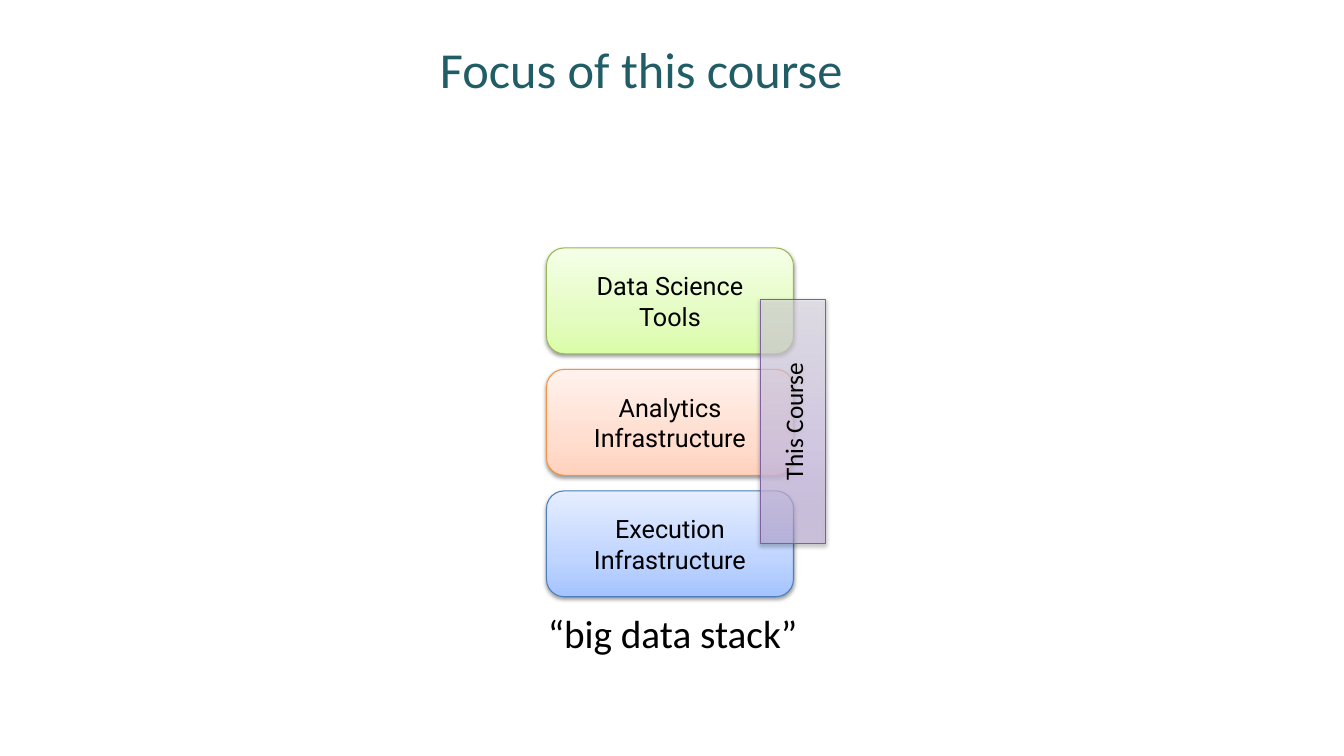
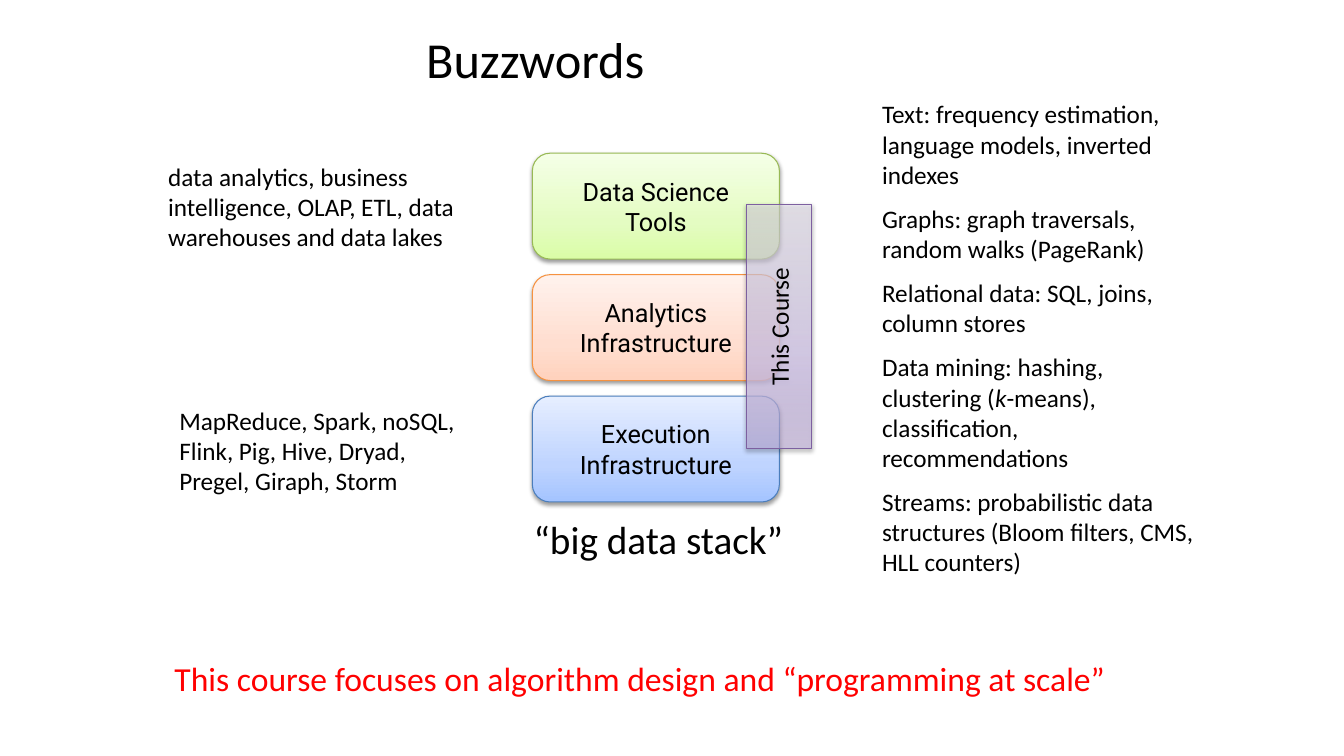
import pptx
import pptx.dml.color
import pptx.enum.shapes
import pptx.enum.text
import pptx.oxml.ns
import pptx.util
from lxml import etree

Inches = pptx.util.Inches
Pt = pptx.util.Pt
qn = pptx.oxml.ns.qn
ALIGN = pptx.enum.text.PP_ALIGN
ANCHOR = pptx.enum.text.MSO_ANCHOR
SHAPE = pptx.enum.shapes.MSO_SHAPE

COLORS = {
    "text": "000000",
    "title": "215D66",
    "accent": "FF0000",
    "shadow": "000000",
    "green line": "98B955",
    "orange line": "F69240",
    "blue line": "4B7EBC",
    "purple line": "7D60A0",
}
# Gradient stops run from bottom to top: position, colour, opacity (percent)
GRADIENTS = {
    "green": [(0, "DAFDA7", 100), (35, "E4FCC2", 100), (100, "F5FFE7", 100)],
    "orange": [(0, "FFD2BD", 100), (35, "FFDED0", 100), (100, "FFF2ED", 100)],
    "blue": [(0, "A4C4FF", 100), (35, "BFD4FF", 100), (100, "E6EEFF", 100)],
    "purple": [(0, "C9B5E8", 50), (35, "D8CBEE", 80), (100, "F0EAF9", 50)],
}
BODY_FONT = "Calibri"
TIER_FONT = "Roboto"

# The stack, from top to bottom
TIERS = [
    ("Data Science\nTools", "green"),
    ("Analytics Infrastructure", "orange"),
    ("Execution\vInfrastructure", "blue"),
]
TIER_WIDTH, TIER_HEIGHT = 2.45, 1.05
STACK_HEIGHT = 3.46
BANNER_WIDTH, BANNER_HEIGHT = 10, 0.75

# Words between asterisks are italic
TOPICS = [
    "Text: frequency estimation, language models, inverted indexes",
    "Graphs: graph traversals, random walks (PageRank)",
    "Relational data: SQL, joins, column stores",
    "Data mining: hashing, clustering (*k*-means), classification, recommendations",
    "Streams: probabilistic data structures (Bloom filters, CMS, HLL counters)",
]


def rgb(name):
    return pptx.dml.color.RGBColor.from_string(COLORS[name])


def format_text(frame, size, color="text", font=BODY_FONT, align=ALIGN.LEFT):
    for para in frame.paragraphs:
        para.alignment = align
        for span in para.runs:
            span.font.size = Pt(size)
            span.font.name = font
            span.font.color.rgb = rgb(color)


def add_color(parent, value, opacity):
    color = etree.SubElement(parent, qn("a:srgbClr"), val=value)
    if opacity < 100:
        etree.SubElement(color, qn("a:alpha"), val=str(opacity * 1000))


def set_gradient(shape, stops):
    shape.fill.gradient()
    gradient = shape._element.spPr.find(qn("a:gradFill"))
    for child in list(gradient):
        gradient.remove(child)
    stop_list = etree.SubElement(gradient, qn("a:gsLst"))
    for position, value, opacity in stops:
        stop = etree.SubElement(stop_list, qn("a:gs"), pos=str(position * 1000))
        add_color(stop, value, opacity)
    etree.SubElement(gradient, qn("a:lin"), ang=str(270 * 60000), scaled="0")


def set_shadow(shape):
    shape.shadow.inherit = False
    effects = shape._element.spPr.find(qn("a:effectLst"))
    shadow = etree.SubElement(
        effects, qn("a:outerShdw"), blurRad=str(Pt(3.1)), dist=str(Pt(1.6)),
        dir=str(90 * 60000), rotWithShape="0")
    add_color(shadow, COLORS["shadow"], 38)


def add_title(page, text, left, top, color):
    title = page.shapes.title
    title.left, title.top = Inches(left), Inches(top)
    title.width, title.height = Inches(BANNER_WIDTH), Inches(BANNER_HEIGHT)
    frame = title.text_frame
    frame.text = text
    frame.auto_size = pptx.enum.text.MSO_AUTO_SIZE.NONE
    frame.vertical_anchor = ANCHOR.TOP
    format_text(frame, 36, color, align=ALIGN.CENTER)


def add_text(page, paragraphs, left, top, width, height, size=18,
             color="text", align=ALIGN.LEFT, gap=0):
    box = page.shapes.add_textbox(
        Inches(left), Inches(top), Inches(width), Inches(height))
    frame = box.text_frame
    frame.word_wrap = True
    for index, text in enumerate(paragraphs):
        para = frame.add_paragraph() if index else frame.paragraphs[0]
        if index and gap:
            para.space_before = Pt(gap)
        for number, piece in enumerate(text.split("*")):
            span = para.add_run()
            span.text = piece
            if number % 2:
                span.font.italic = True
    format_text(frame, size, color, align=align)


def add_block(page, kind, text, hue, left, top, width, height, font):
    block = page.shapes.add_shape(
        kind, Inches(left), Inches(top), Inches(width), Inches(height))
    set_gradient(block, GRADIENTS[hue])
    block.line.color.rgb = rgb(hue + " line")
    block.line.width = Pt(0.75)
    set_shadow(block)
    frame = block.text_frame
    frame.text = text
    frame.word_wrap = True
    frame.vertical_anchor = ANCHOR.MIDDLE
    format_text(frame, 18, font=font, align=ALIGN.CENTER)
    return block


def add_stack(page, left, top):
    # Tiers
    pitch = (STACK_HEIGHT - TIER_HEIGHT) / (len(TIERS) - 1)
    for row, (text, hue) in enumerate(TIERS):
        add_block(page, SHAPE.ROUNDED_RECTANGLE, text, hue, left,
                  top + row * pitch, TIER_WIDTH, TIER_HEIGHT, TIER_FONT)
    # Upright bar over the right edge
    bar = add_block(page, SHAPE.RECTANGLE, "This Course", "purple",
                    left + 2.12, top + 0.51, 0.65, 2.42, BODY_FONT)
    bar.text_frame._txBody.bodyPr.set("vert", "vert270")
    # Caption
    add_text(page, ["“big data stack”"], left - 3.75, top + 3.54,
             BANNER_WIDTH, BANNER_HEIGHT, size=28, align=ALIGN.CENTER)


def add_page(deck):
    return deck.slides.add_slide(deck.slide_layouts.get_by_name("Title Only"))


def build_focus(deck):
    page = add_page(deck)
    add_title(page, "Focus of this course", 1.36, 0.33, "title")
    add_stack(page, 5.42, 2.46)


def build_buzzwords(deck):
    page = add_page(deck)
    add_title(page, "Buzzwords", 0.31, 0.23, "text")
    add_stack(page, 5.28, 1.52)
    # Terms beside the tiers
    add_text(page, ["data analytics, business intelligence, OLAP, ETL, data "
                    "warehouses and data lakes"], 1.57, 1.55, 3.17, 1.31)
    add_text(page, ["MapReduce, Spark, noSQL, Flink, Pig, Hive, Dryad, "
                    "Pregel, Giraph, Storm"], 1.68, 3.97, 3.17, 1.31)
    add_text(page, TOPICS, 8.65, 0.93, 3.33, 4.88, gap=9.8)
    # Closing line
    add_text(page, ["This course focuses on algorithm design and "
                    "“programming at scale”"], 0.67, 6.48, 11.35, 0.5,
             size=24, color="accent", align=ALIGN.CENTER)


def main():
    deck = pptx.Presentation()
    deck.slide_width, deck.slide_height = Inches(13.33), Inches(7.5)
    build_focus(deck)
    build_buzzwords(deck)
    deck.save("out.pptx")


if __name__ == "__main__":
    main()
